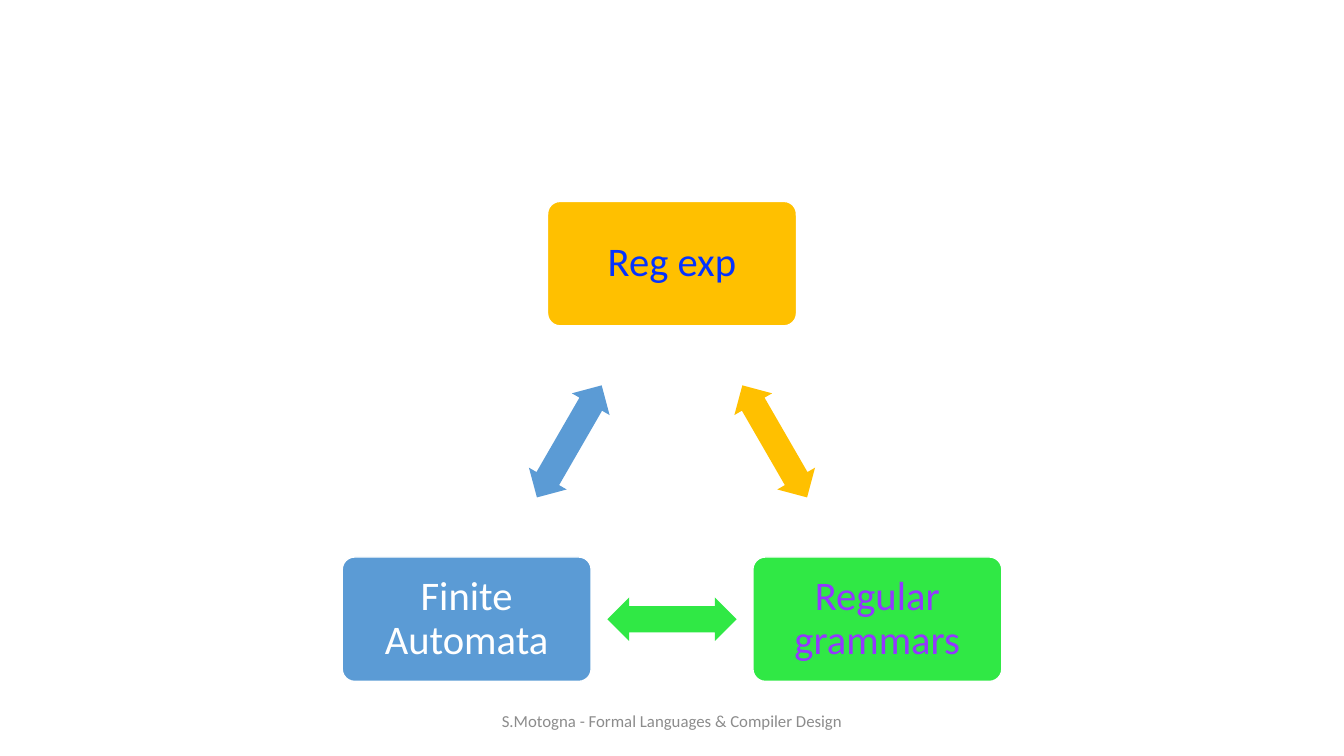
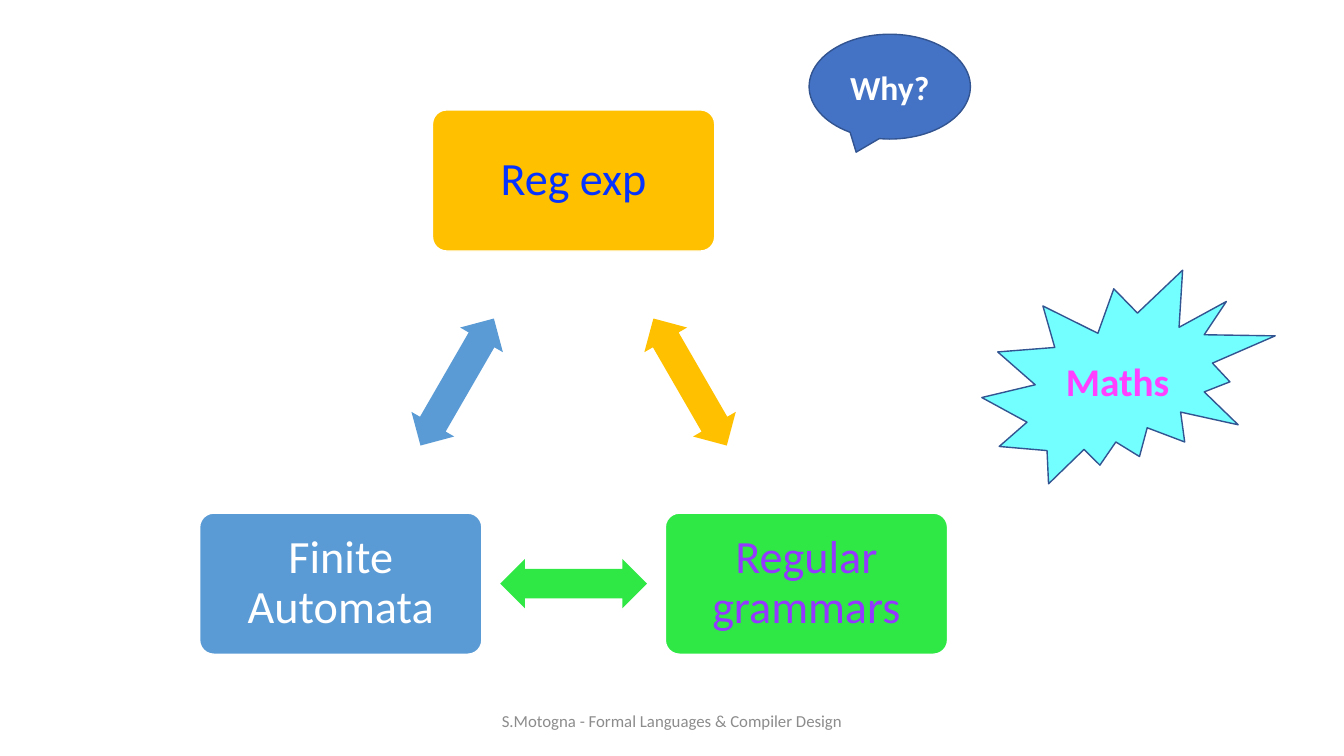
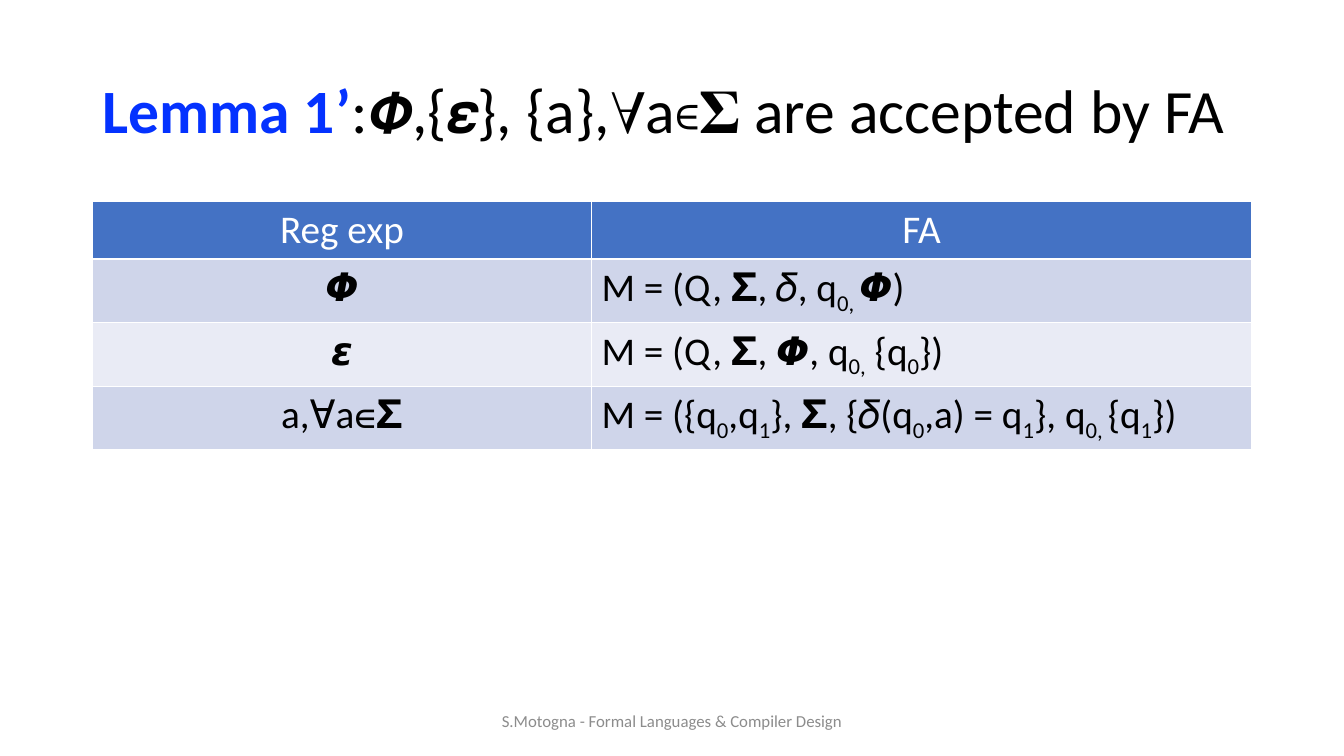
"""Build three slides on regular expressions, automata and grammars."""
import dataclasses
import math

import lxml.etree
import pptx
import pptx.dml.color
import pptx.enum.shapes
import pptx.enum.text
import pptx.oxml.ns
import pptx.util

SHAPE = pptx.enum.shapes.MSO_SHAPE
ALIGN = pptx.enum.text.PP_ALIGN
WIDE = pptx.util.Inches(13.33)
HIGH = pptx.util.Inches(7.5)


@dataclasses.dataclass(frozen=True)
class Theme:
    """Colours, font and type sizes of the deck."""
    font: str = "Calibri"
    white: str = "FFFFFF"
    black: str = "000000"
    grey: str = "8C8C8C"
    gold: str = "FFC000"
    green: str = "30E845"
    sky: str = "5B9BD5"
    ink: str = "0432FF"
    violet: str = "9437FF"
    blue: str = "4472C4"
    edge: str = "325491"
    cyan: str = "73FEFF"
    pink: str = "FF40FF"
    bands: tuple = ("CFD5EA", "E9EBF5")
    title: int = 44
    table: int = 28
    burst: int = 28
    bubble: int = 24
    foot: int = 12


THEME = Theme()
FOOTER = "S.Motogna - Formal Languages & Compiler Design"
NODES = (
    ("Reg exp", THEME.gold, THEME.ink),
    ("Regular grammars", THEME.green, THEME.violet),
    ("Finite Automata", THEME.sky, THEME.white),
)
ROWS = (
    ("Reg exp", "FA"),
    ("𝞥", "M = (Q, 𝚺, 𝛿, q|0, |𝞥)"),
    ("𝞮", "M = (Q, 𝚺, 𝞥, q|0,| {q|0|})"),
    ("a,∀a∊𝚺", "M = ({q|0|,q|1|}, 𝚺, {𝛿(q|0|,a) = q|1|}, q|0, |{q|1|})"),
)


def share(left, top, width, height):
    """Turn percentages of the slide into a box."""
    pairs = ((left, WIDE), (top, HIGH), (width, WIDE), (height, HIGH))
    return [round(part * full / 100) for part, full in pairs]


def color(code):
    """Return the colour of a hex code."""
    return pptx.dml.color.RGBColor.from_string(code)


def style(run, size, ink, bold=False):
    """Format one run."""
    run.font.name = THEME.font
    run.font.size = pptx.util.Pt(size)
    run.font.bold = bold
    run.font.color.rgb = color(ink)


def write(frame, text, size, ink, bold=False, align=ALIGN.CENTER, space=1.0):
    """Set one formatted paragraph, centred in height."""
    frame.word_wrap = True
    frame.vertical_anchor = pptx.enum.text.MSO_ANCHOR.MIDDLE
    para = frame.paragraphs[0]
    para.text = text
    para.alignment = align
    para.line_spacing = space
    for run in para.runs:
        style(run, size, ink, bold)
    return para


def draw(slide, kind, box, fill, line=None):
    """Add a preset shape with a flat fill."""
    shape = slide.shapes.add_shape(kind, *box)
    shape.shadow.inherit = False
    shape.fill.solid()
    shape.fill.fore_color.rgb = color(fill)
    if line:
        shape.line.color.rgb = color(line)
        shape.line.width = pptx.util.Pt(1)
    else:
        shape.line.fill.background()
    return shape


def center(x, y, width, height):
    """Return the box around a middle point."""
    return [round(n) for n in (x - width / 2, y - height / 2, width, height)]


def node(slide, box, item, size):
    """Add a rounded node with its label."""
    text, fill, ink = item
    shape = draw(slide, SHAPE.ROUNDED_RECTANGLE, box, fill, THEME.white)
    shape.adjustments[0] = 0.1
    frame = shape.text_frame
    pad = round(box[2] * 0.05)
    frame.margin_left = frame.margin_right = pad
    frame.margin_top = frame.margin_bottom = pad
    write(frame, text, size, ink, space=0.9)


def arrow(slide, box, fill, turn):
    """Add a turned double arrow."""
    shape = draw(slide, SHAPE.LEFT_RIGHT_ARROW, box, fill)
    shape.adjustments[0] = 0.6
    shape.adjustments[1] = 0.5
    shape.rotation = turn


def cycle(slide, left, top, width, size):
    """Join three nodes in an equal-sided triangle below its top point."""
    x, y, wide, _ = share(left, top, width, 0)
    tall = wide / 2
    ray = 1.65 * wide / math.sqrt(3)
    turns = [math.radians(120 * i - 90) for i in range(3)]
    spots = [(x + ray * math.cos(t), y + ray + ray * math.sin(t)) for t in turns]
    for i, item in enumerate(NODES):
        here, there = spots[i], spots[(i + 1) % 3]
        mid = [(a + b) / 2 for a, b in zip(here, there)]
        node(slide, center(*here, wide, tall), item, size)
        arrow(slide, center(*mid, 0.52 * wide, 0.35 * tall), item[1], 60 + 120 * i)


def badge(slide, kind, box, text, size, fill, ink):
    """Add an outlined callout with bold text."""
    shape = draw(slide, kind, box, fill, THEME.edge)
    write(shape.text_frame, text, size, ink, True)


def label(slide, box, *args, **kwargs):
    """Add a text box."""
    frame = slide.shapes.add_textbox(*box).text_frame
    return write(frame, *args, **kwargs)


def head(slide, lead, rest):
    """Add a title with a bold coloured lead."""
    para = label(slide, share(6.88, 5.33, 86.25, 19.33), lead, THEME.title,
                 THEME.ink, True, ALIGN.LEFT, 0.9)
    run = para.add_run()
    run.text = rest
    style(run, THEME.title, THEME.black)


def border(cell):
    """Draw thin white lines around a cell."""
    props = cell._tc.get_or_add_tcPr()
    name = pptx.oxml.ns.qn
    for side in "LRTB":
        line = lxml.etree.SubElement(props, name(f"a:ln{side}"), w="12700")
        fill = lxml.etree.SubElement(line, name("a:solidFill"))
        lxml.etree.SubElement(fill, name("a:srgbClr"), val=THEME.white)


def fill_cell(cell, text, fill, ink, align):
    """Fill a cell, with every second part of its text as a subscript."""
    border(cell)
    cell.fill.solid()
    cell.fill.fore_color.rgb = color(fill)
    para = cell.text_frame.paragraphs[0]
    para.alignment = align
    for i, part in enumerate(text.split("|")):
        run = para.add_run()
        run.text = part
        style(run, THEME.table, ink)
        if i % 2:
            run._r.get_or_add_rPr().set("baseline", "-25000")


def grid(slide, left, top, cols, step):
    """Add the banded table."""
    box = share(left, top, sum(cols), step * len(ROWS))
    table = slide.shapes.add_table(len(ROWS), len(cols), *box).table
    table.first_row = table.horz_banding = False
    for col, part in zip(table.columns, cols):
        col.width = round(part * WIDE / 100)
    for r, row in enumerate(ROWS):
        fill = THEME.bands[(r - 1) % 2] if r else THEME.blue
        ink = THEME.black if r else THEME.white
        for c, text in enumerate(row):
            align = ALIGN.LEFT if r and c else ALIGN.CENTER
            fill_cell(table.cell(r, c), text, fill, ink, align)


def page(deck):
    """Add a blank slide with the footer."""
    slide = deck.slides.add_slide(deck.slide_layouts[6])
    label(slide, share(33.13, 92.67, 33.75, 5.33), FOOTER, THEME.foot, THEME.grey)
    return slide


def main():
    """Build and save the deck."""
    deck = pptx.Presentation()
    deck.slide_width, deck.slide_height = WIDE, HIGH

    cycle(page(deck), 50, 34.87, 18.52, 29)

    proof = page(deck)
    cycle(proof, 42.68, 23.87, 21, 33)
    badge(proof, SHAPE.OVAL_CALLOUT, share(60.2, 4.53, 12, 13.87),
          "Why?", THEME.bubble, THEME.blue, THEME.white)
    badge(proof, SHAPE.EXPLOSION2, share(73.05, 35.73, 21.83, 28.27),
          "Maths", THEME.burst, THEME.cyan, THEME.pink)

    lemma = page(deck)
    head(lemma, "Lemma 1’", ":𝞥,{𝞮}, {a},∀a∊𝚺 are accepted by FA")
    grid(lemma, 6.88, 26.67, (37.13, 49.12), 7.6)

    deck.save("out.pptx")


if __name__ == "__main__":
    main()
